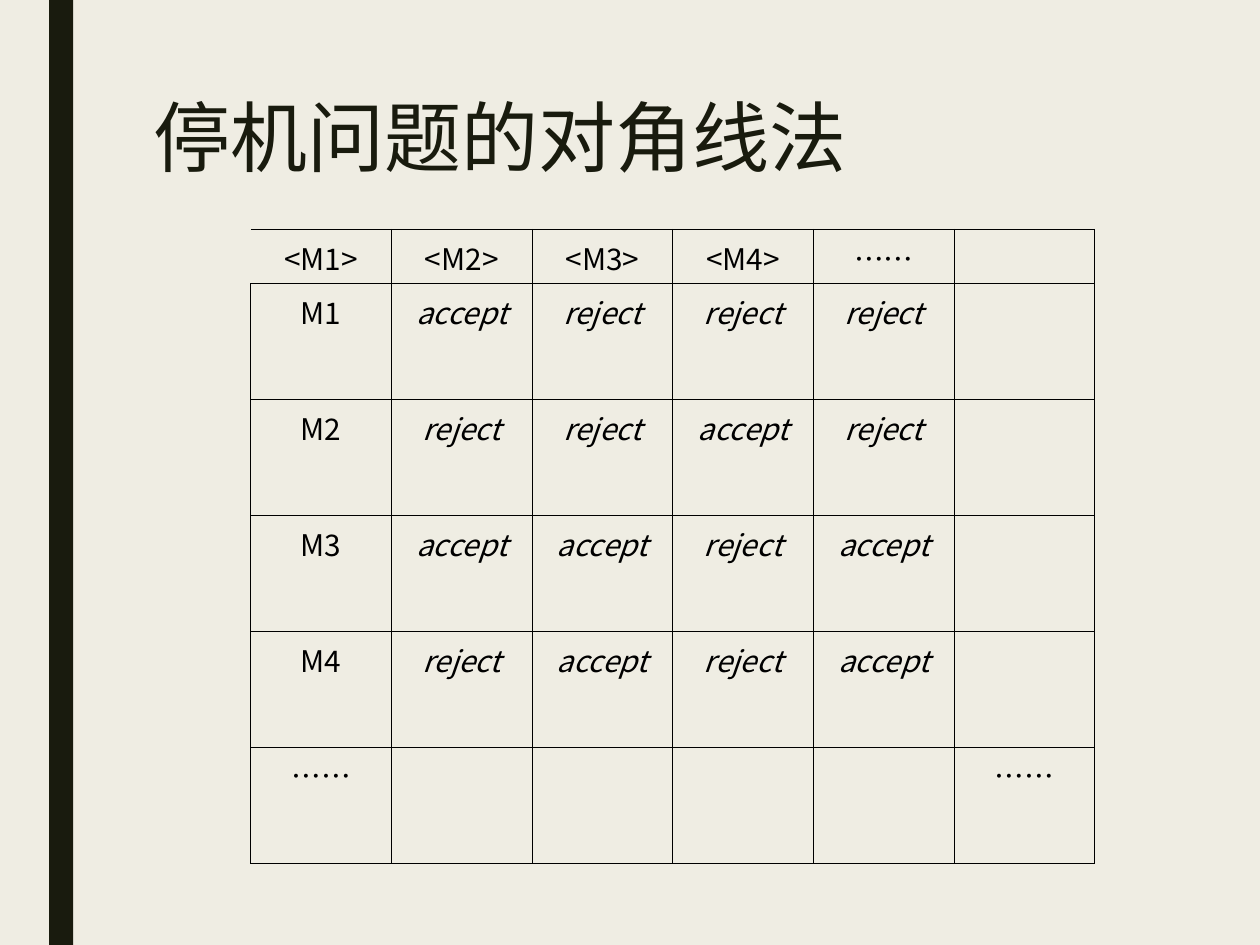
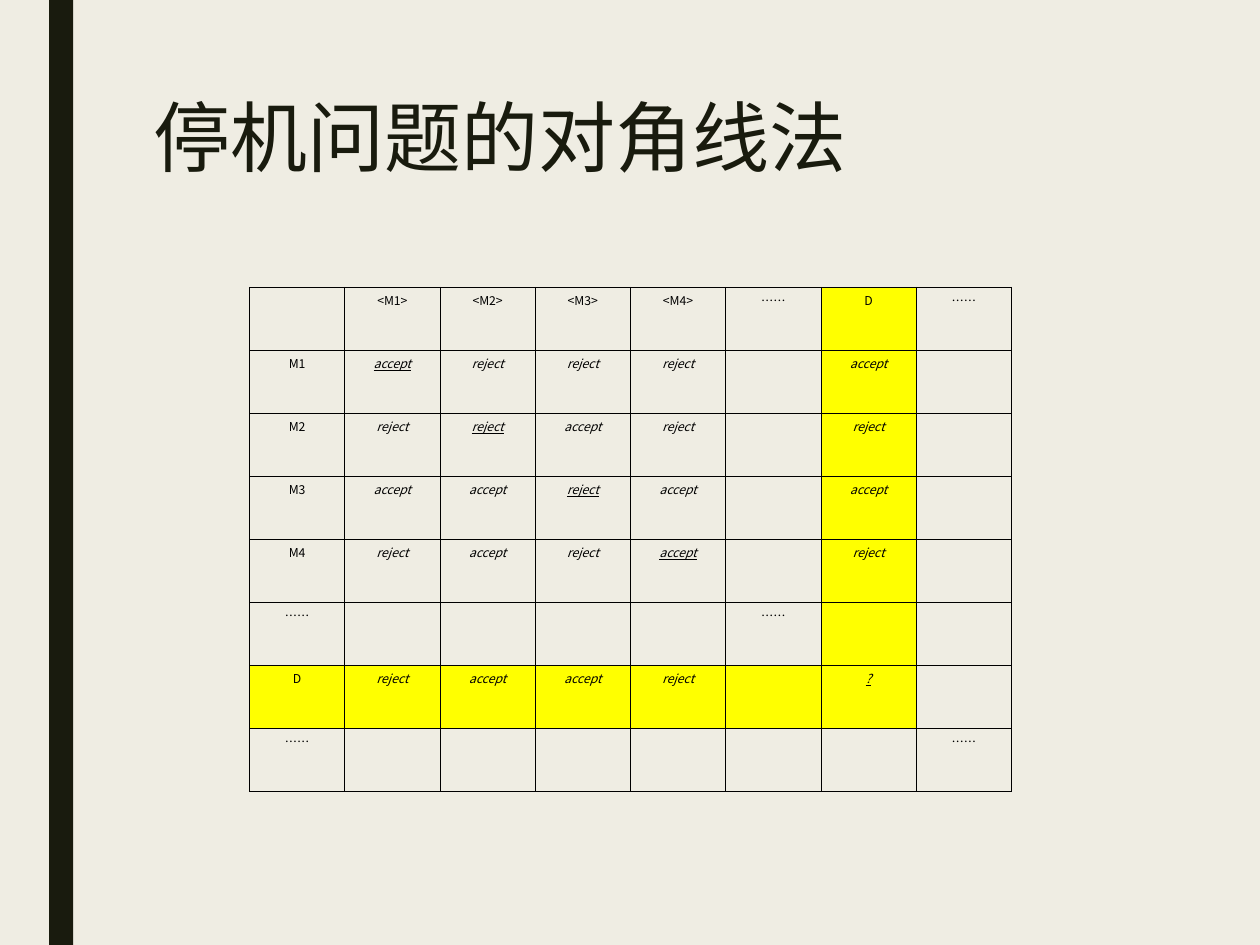
from lxml.etree import SubElement
from pptx import Presentation
from pptx.dml.color import RGBColor
from pptx.enum.shapes import MSO_SHAPE as Shape
from pptx.enum.text import MSO_ANCHOR as Anchor, PP_ALIGN as Align
from pptx.oxml.ns import qn
from pptx.util import Inches, Pt

CREAM = RGBColor(0xEF, 0xED, 0xE3)
DARK = RGBColor(0x19, 0x1B, 0x0E)
BLACK = RGBColor(0, 0, 0)
YELLOW = RGBColor(0xFF, 0xFF, 0)
TITLE_FONT = "Cabin"
TABLE_FONT = "Noto Sans CJK SC"
VERDICTS = {"accept", "reject", "?"}
D_INDEX = 6  # row and column of the diagonal machine D

MACHINES = [
    ["<M1>", "<M2>", "<M3>", "<M4>", "……", ""],
    ["M1", "accept", "reject", "reject", "reject", ""],
    ["M2", "reject", "reject", "accept", "reject", ""],
    ["M3", "accept", "accept", "reject", "accept", ""],
    ["M4", "reject", "accept", "reject", "accept", ""],
    ["……", "", "", "", "", "……"],
]

DIAGONAL = [
    ["", "<M1>", "<M2>", "<M3>", "<M4>", "……", "D", "……"],
    ["M1", "accept", "reject", "reject", "reject", "", "accept", ""],
    ["M2", "reject", "reject", "accept", "reject", "", "reject", ""],
    ["M3", "accept", "accept", "reject", "accept", "", "accept", ""],
    ["M4", "reject", "accept", "reject", "accept", "", "reject", ""],
    ["……", "", "", "", "", "……", "", ""],
    ["D", "reject", "accept", "accept", "reject", "", "?", ""],
    ["……", "", "", "", "", "", "", "……"],
]


def add_page(deck, title):
    """Add a slide with the shared background, side band and title."""
    page = deck.slides.add_slide(deck.slide_layouts[6])
    page.background.fill.solid()
    page.background.fill.fore_color.rgb = CREAM

    band = page.shapes.add_shape(
        Shape.RECTANGLE, Inches(0.39), 0, Inches(0.19), deck.slide_height)
    band.shadow.inherit = False
    band.fill.solid()
    band.fill.fore_color.rgb = DARK
    band.line.fill.background()

    box = page.shapes.add_textbox(
        Inches(1.12), Inches(0.75), Inches(7.88), Inches(1.62))
    box.text_frame.word_wrap = True
    para = box.text_frame.paragraphs[0]
    para.text = title
    para.line_spacing = 0.89
    para.font.name = TITLE_FONT
    para.font.size = Pt(44)
    para.font.color.rgb = DARK
    return page


def set_borders(cell, sides):
    properties = cell._tc.get_or_add_tcPr()
    for side in ("L", "R", "T", "B"):
        line = SubElement(properties, qn(f"a:ln{side}"), w=str(Pt(0.5)))
        if side in sides:
            fill = SubElement(line, qn("a:solidFill"))
            SubElement(fill, qn("a:srgbClr"), val=str(BLACK))
        else:
            SubElement(line, qn("a:noFill"))


def fill_cell(cell, text, size, margins, underlined):
    cell.margin_left = cell.margin_right = Inches(margins[0])
    cell.margin_top = cell.margin_bottom = Inches(margins[1])
    cell.vertical_anchor = Anchor.TOP
    para = cell.text_frame.paragraphs[0]
    para.text = text
    para.alignment = Align.CENTER
    para.font.name = TABLE_FONT
    para.font.size = Pt(size)
    para.font.color.rgb = BLACK
    para.font.bold = False
    para.font.italic = text in VERDICTS
    para.font.underline = underlined


def add_grid(page, rows, left, top, width, heights, size, margins, diagonal=False):
    """Add a ruled table; diagonal underlines its verdicts and marks D."""
    count = len(rows[0])
    table = page.shapes.add_table(
        len(rows), count, Inches(left), Inches(top),
        Inches(width), Inches(sum(heights))).table
    table.first_row = table.horz_banding = False
    for column in table.columns:
        column.width = Inches(width / count)
    for r, (texts, height) in enumerate(zip(rows, heights)):
        table.rows[r].height = Inches(height)
        for c, text in enumerate(texts):
            cell = table.cell(r, c)
            underlined = diagonal and r == c and text in VERDICTS
            fill_cell(cell, text, size, margins, underlined)
            open_corner = not diagonal and r == c == 0
            set_borders(cell, "RTB" if open_corner else "LRTB")
            if diagonal and max(r, c) == D_INDEX:
                cell.fill.solid()
                cell.fill.fore_color.rgb = YELLOW
            else:
                cell.fill.background()


def main():
    deck = Presentation()
    deck.slide_width, deck.slide_height = Inches(10), Inches(7.5)
    title = "停机问题的对角线法"

    page = add_page(deck, title)
    add_grid(page, MACHINES, 1.99, 1.82, 6.7, [0.43] + [0.92] * 5,
             size=17, margins=(0.07, 0.05))

    page = add_page(deck, title)
    add_grid(page, DIAGONAL, 1.98, 2.28, 6.05, [0.5] * 8,
             size=7, margins=(0.05, 0.03), diagonal=True)

    deck.save("out.pptx")


if __name__ == "__main__":
    main()
